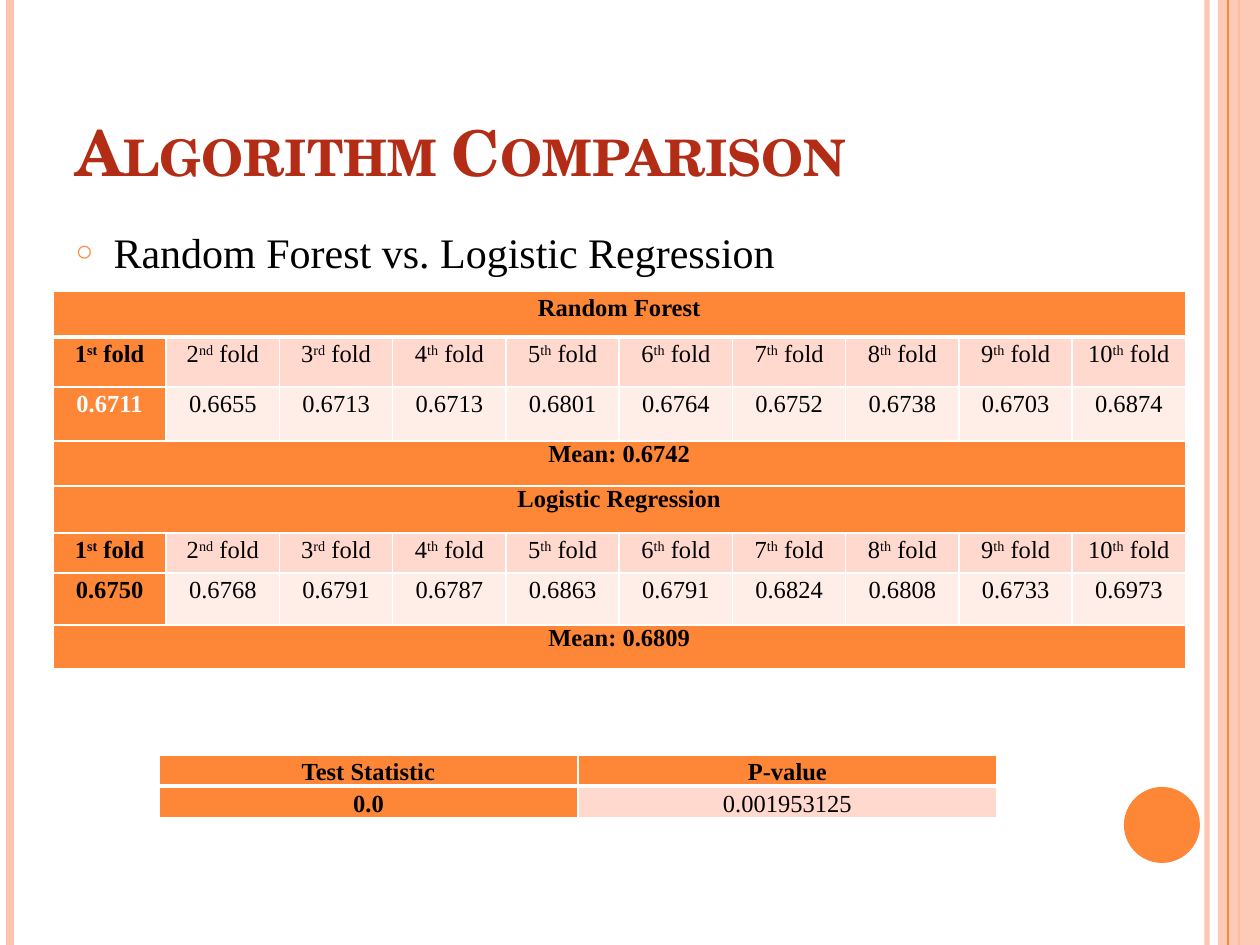
from lxml.etree import SubElement
from pptx import Presentation
from pptx.dml.color import RGBColor
from pptx.enum.shapes import MSO_CONNECTOR as Connector, MSO_SHAPE as Shape
from pptx.enum.text import MSO_ANCHOR as Anchor, PP_ALIGN as Align
from pptx.oxml.ns import qn
from pptx.util import Pt

EMU_PER_PX = 914400 / 126
PAGE_W, PAGE_H = 1260, 945

ORANGE = RGBColor(0xFE, 0x86, 0x37)
PEACH = RGBColor(0xFE, 0xC3, 0xAE)
LIGHT = RGBColor(0xFF, 0xD9, 0xCE)
PALE = RGBColor(0xFF, 0xED, 0xE8)
RUST = RGBColor(0xB3, 0x2C, 0x16)
BLACK = RGBColor(0, 0, 0)
WHITE = RGBColor(0xFF, 0xFF, 0xFF)

TITLE_FONT = "TeX Gyre Schola"
TEXT_FONT = "Times New Roman"

FOLDS = [("1", "st"), ("2", "nd"), ("3", "rd")] + [(str(n), "th") for n in range(4, 11)]
FOREST_SCORES = ["0.6711", "0.6655", "0.6713", "0.6713", "0.6801",
                 "0.6764", "0.6752", "0.6738", "0.6703", "0.6874"]
LOGISTIC_SCORES = ["0.6750", "0.6768", "0.6791", "0.6787", "0.6863",
                   "0.6791", "0.6824", "0.6808", "0.6733", "0.6973"]
FOLD_ROW_HEIGHTS = [46, 50, 54, 45, 47, 40, 52, 44]


def px(length):
    return round(length * EMU_PER_PX)


def set_alpha(fill_owner, percent):
    """Make the solid colour inside an XML element partly transparent."""
    color = next(fill_owner.iter(qn("a:srgbClr")))
    SubElement(color, qn("a:alpha"), val=str(percent * 1000))


def add_stripe(page, x, color, weight, alpha=100):
    """Add a full-height vertical line."""
    line = page.shapes.add_connector(Connector.STRAIGHT, px(x), 0, px(x), px(PAGE_H))
    line.line.color.rgb = color
    line.line.width = Pt(weight)
    if alpha < 100:
        set_alpha(line.line._ln, alpha)
    SubElement(line._element.spPr, qn("a:effectLst"))


def add_solid(page, kind, left, top, width, height, color):
    shape = page.shapes.add_shape(kind, px(left), px(top), px(width), px(height))
    shape.shadow.inherit = False
    shape.fill.solid()
    shape.fill.fore_color.rgb = color
    shape.line.fill.background()
    return shape


def add_frame(page):
    """Add the stripes and the disc at the slide's edges."""
    add_stripe(page, 1207, PEACH, 3, 93)
    add_stripe(page, 10, PEACH, 4.5)
    add_stripe(page, 1239, ORANGE, 1.5)
    band = add_solid(page, Shape.RECTANGLE, 1218, 0, 42, PAGE_H, PEACH)
    set_alpha(band._element.spPr, 87)
    add_stripe(page, 1228, ORANGE, 0.75)
    add_solid(page, Shape.OVAL, 1124, 787, 76, 76, ORANGE)


def add_span(para, text, font, size, color, bold=False):
    span = para.add_run()
    span.text = text
    span.font.name = font
    span.font.size = Pt(size)
    span.font.color.rgb = color
    span.font.bold = bold
    return span


def place_holder(page, holder, left, top, width, height, anchor):
    """Position a placeholder in front of the frame and return its first paragraph."""
    holder.left, holder.top = px(left), px(top)
    holder.width, holder.height = px(width), px(height)
    page.shapes._spTree.append(holder._element)
    holder.text_frame.vertical_anchor = anchor
    para = holder.text_frame.paragraphs[0]
    para.alignment = Align.LEFT
    return para


def add_title(page, text):
    para = place_holder(page, page.shapes.title, 63, 38, 1029, 157, Anchor.BOTTOM)
    span = add_span(para, text, TITLE_FONT, 36, RUST, True)
    span._r.get_or_add_rPr().set("cap", "small")


def add_bullet(page, text):
    para = place_holder(page, page.placeholders[1], 63, 220, 1029, 672, Anchor.TOP)
    para.space_before = Pt(6)
    props = para._p.get_or_add_pPr()
    props.set("marL", str(px(38)))
    props.set("indent", str(px(-38)))
    bullet_color = SubElement(props, qn("a:buClr"))
    SubElement(bullet_color, qn("a:srgbClr"), val=str(ORANGE))
    SubElement(props, qn("a:buSzPct"), val="70000")
    SubElement(props, qn("a:buChar"), char="○")
    add_span(para, text, TEXT_FONT, 24, BLACK)


def set_borders(cell, bottom):
    props = cell._tc.get_or_add_tcPr()
    for side, weight in (("L", 1), ("R", 1), ("T", 1), ("B", bottom)):
        line = SubElement(props, qn(f"a:ln{side}"), w=str(Pt(weight)))
        fill = SubElement(line, qn("a:solidFill"))
        SubElement(fill, qn("a:srgbClr"), val=str(WHITE))


def style_cell(cell, fill, bottom=1):
    set_borders(cell, bottom)
    cell.fill.solid()
    cell.fill.fore_color.rgb = fill
    cell.margin_left = cell.margin_right = px(9)
    cell.margin_top = cell.margin_bottom = 0


def write_cell(cell, parts, bold, color=BLACK, spacing=1.15):
    """Write the parts as runs, raising every second one."""
    para = cell.text_frame.paragraphs[0]
    para.alignment = Align.CENTER
    if spacing:
        para.line_spacing = spacing
    for index, text in enumerate(parts):
        span = add_span(para, text, TEXT_FONT, 14, color, bold)
        if index % 2:
            span._r.get_or_add_rPr().set("baseline", "30000")


def add_grid(page, left, top, width, row_heights, columns):
    frame = page.shapes.add_table(len(row_heights), columns, px(left), px(top),
                                  px(width), px(sum(row_heights)))
    grid = frame.table
    grid.first_row = grid.horz_banding = False
    for row, height in zip(grid.rows, row_heights):
        row.height = px(height)
    return grid


def fill_banner(grid, row, text, bottom=1, spacing=None):
    """Fill a row merged across all columns."""
    cells = list(grid.rows[row].cells)
    for cell in cells:
        style_cell(cell, ORANGE, bottom)
    cells[0].merge(cells[-1])
    write_cell(cells[0], [text], True, spacing=spacing)


def fill_row(grid, row, entries, fill, first_color=BLACK):
    """Fill a row whose first cell is a bold orange heading."""
    for column, parts in enumerate(entries):
        first = column == 0
        cell = grid.cell(row, column)
        style_cell(cell, ORANGE if first else fill)
        write_cell(cell, parts, first, first_color if first else BLACK)


def add_fold_table(page):
    grid = add_grid(page, 53, 291, 1133, FOLD_ROW_HEIGHTS, len(FOLDS))
    fold_names = [(number, suffix, " fold") for number, suffix in FOLDS]
    fill_banner(grid, 0, "Random Forest", bottom=3, spacing=1.15)
    fill_banner(grid, 4, "Logistic Regression")
    models = [(1, FOREST_SCORES, "Mean: 0.6742", WHITE),
              (5, LOGISTIC_SCORES, "Mean: 0.6809", BLACK)]
    for row, scores, mean, first_color in models:
        fill_row(grid, row, fold_names, LIGHT)
        fill_row(grid, row + 1, [[score] for score in scores], PALE, first_color)
        fill_banner(grid, row + 2, mean)


def add_test_table(page):
    grid = add_grid(page, 159, 755, 838, [31, 31], 2)
    for column, heading in enumerate(["Test Statistic", "P-value"]):
        cell = grid.cell(0, column)
        style_cell(cell, ORANGE, bottom=3)
        write_cell(cell, [heading], True)
    fill_row(grid, 1, [["0.0"], ["0.001953125"]], LIGHT)


def main():
    deck = Presentation()
    deck.slide_width, deck.slide_height = px(PAGE_W), px(PAGE_H)
    page = deck.slides.add_slide(deck.slide_layouts[1])
    add_frame(page)
    add_title(page, "Algorithm Comparison")
    add_bullet(page, "Random Forest vs. Logistic Regression")
    add_fold_table(page)
    add_test_table(page)
    deck.save("out.pptx")


if __name__ == "__main__":
    main()
